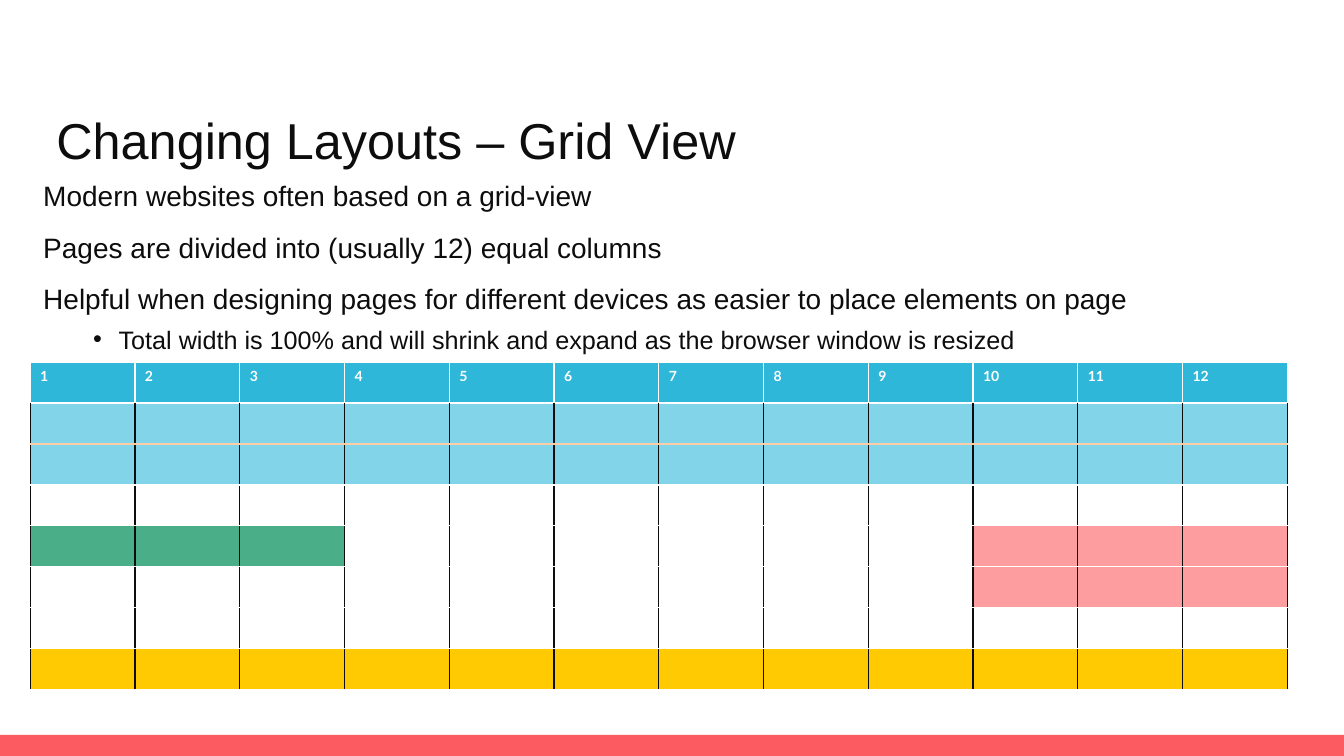
from dataclasses import dataclass

from lxml import etree
from pptx import Presentation
from pptx.dml.color import RGBColor
from pptx.enum.shapes import MSO_SHAPE
from pptx.oxml.ns import qn
from pptx.slide import Slide
from pptx.util import Cm, Pt

RECTANGLE = MSO_SHAPE.RECTANGLE
BLANK_LAYOUT = 6
COLUMN_COUNT = 12
COLUMN_WIDTH = Cm(2.64)
ROW_HEIGHT = Cm(1.03)
GRID_LEFT = Cm(0.76)

COLORS = {
    "ink": "0D0D0D",
    "white": "FFFFFF",
    "footer": "FC5B61",
    "heading": "2FB7DA",
    "banner": "82D4E9",
    "banner_rule": "FDCDA5",
    "menu": "4AAF88",
    "sidebar": "FD9DA0",
    "page_end": "FFCA01",
}


@dataclass(frozen=True)
class Line:
    text: str
    size: float
    space_before: float = 0
    space_after: float = 0
    line_spacing: float = 1.0
    bulleted: bool = False


@dataclass(frozen=True)
class Box:
    left: float
    top: float
    width: float
    height: float
    lines: tuple[Line, ...]


@dataclass(frozen=True)
class Border:
    color: str
    width: float = 1


@dataclass(frozen=True)
class Region:
    """A coloured block of the page layout; the end row and column are excluded."""
    color: str
    first_row: int
    end_row: int
    first_column: int = 0
    end_column: int = COLUMN_COUNT


TITLE = Box(1.42, 2.79, 31.01, 2.01, (
    Line("Changing Layouts – Grid View", 36, line_spacing=0.9),
))
BODY = Box(1.09, 4.37, 31.01, 12.01, (
    Line("Modern websites often based on a grid-view", 20, space_after=1),
    Line("Pages are divided into (usually 12) equal columns", 20, 12, 1),
    Line("Helpful when designing pages for different devices as easier "
         "to place elements on page", 20, 12, 1),
    Line("Total width is 100% and will shrink and expand as the browser "
         "window is resized", 18, 5, bulleted=True),
))
REGIONS = (
    Region("banner", 0, 2),
    Region("menu", 3, 4, end_column=3),
    Region("sidebar", 3, 5, first_column=9),
    Region("page_end", 6, 7),
)
LAYOUT_ROWS = 7


def rgb(name: str) -> RGBColor:
    return RGBColor.from_string(COLORS[name])


def style_run(run, size: float, font: str, color: str, bold: bool = False) -> None:
    run.font.size = Pt(size)
    run.font.name = font
    run.font.bold = bold
    run.font.color.rgb = rgb(color)


def add_bullet(paragraph) -> None:
    properties = paragraph._p.get_or_add_pPr()
    properties.set("lvl", "1")
    properties.set("marL", str(Cm(1.9)))
    properties.set("indent", str(-Cm(0.64)))
    etree.SubElement(properties, qn("a:buFont"), typeface="Arial")
    etree.SubElement(properties, qn("a:buChar"), char="•")


def add_text(slide: Slide, box: Box) -> None:
    frame = slide.shapes.add_textbox(
        Cm(box.left), Cm(box.top), Cm(box.width), Cm(box.height)).text_frame
    frame.word_wrap = True
    frame.margin_left = frame.margin_right = 0
    for index, line in enumerate(box.lines):
        paragraph = frame.add_paragraph() if index else frame.paragraphs[0]
        if line.bulleted:
            add_bullet(paragraph)
        paragraph.space_before = Pt(line.space_before)
        paragraph.space_after = Pt(line.space_after)
        paragraph.line_spacing = line.line_spacing
        run = paragraph.add_run()
        run.text = line.text
        style_run(run, line.size, "Arial", "ink")


def set_borders(cell, sides: Border, top: Border, bottom: Border) -> None:
    """Border lines come before the fill, so call this before filling the cell."""
    properties = cell._tc.get_or_add_tcPr()
    for tag, border in (("lnL", sides), ("lnR", sides), ("lnT", top), ("lnB", bottom)):
        line = etree.SubElement(properties, qn(f"a:{tag}"), w=str(Pt(border.width)))
        fill = etree.SubElement(line, qn("a:solidFill"))
        etree.SubElement(fill, qn("a:srgbClr"), val=COLORS[border.color])


def add_grid(slide: Slide, top: float, row_count: int):
    table = slide.shapes.add_table(
        row_count, COLUMN_COUNT, GRID_LEFT, Cm(top),
        COLUMN_WIDTH * COLUMN_COUNT, ROW_HEIGHT * row_count).table
    table.first_row = table.horz_banding = False
    for column in table.columns:
        column.width = COLUMN_WIDTH
    for row in table.rows:
        row.height = ROW_HEIGHT
    return table


def add_column_numbers(slide: Slide) -> None:
    thin = Border("white")
    table = add_grid(slide, 9.14, 1)
    for number, cell in enumerate(table.iter_cells(), start=1):
        set_borders(cell, thin, thin, Border("white", 3))
        cell.fill.solid()
        cell.fill.fore_color.rgb = rgb("heading")
        run = cell.text_frame.paragraphs[0].add_run()
        run.text = str(number)
        style_run(run, 10, "Lato", "white", bold=True)


def add_page_layout(slide: Slide) -> None:
    table = add_grid(slide, 10.16, LAYOUT_ROWS)
    rules = [Border("white")] * (LAYOUT_ROWS + 1)
    rules[1] = Border("banner_rule")
    for index, cell in enumerate(table.iter_cells()):
        row = index // COLUMN_COUNT
        set_borders(cell, Border("ink"), rules[row], rules[row + 1])
        cell.margin_top = cell.margin_bottom = Cm(0.1)
        cell.fill.background()
    for region in REGIONS:
        for row in range(region.first_row, region.end_row):
            for column in range(region.first_column, region.end_column):
                fill = table.cell(row, column).fill
                fill.solid()
                fill.fore_color.rgb = rgb(region.color)


def add_footer_bar(slide: Slide, width: int) -> None:
    bar = slide.shapes.add_shape(RECTANGLE, 0, Cm(18.52), width, Cm(0.53))
    bar.shadow.inherit = False
    bar.fill.solid()
    bar.fill.fore_color.rgb = rgb("footer")
    bar.line.fill.background()


def main() -> None:
    presentation = Presentation()
    presentation.slide_width = Cm(33.87)
    presentation.slide_height = Cm(19.05)
    slide = presentation.slides.add_slide(presentation.slide_layouts[BLANK_LAYOUT])
    add_footer_bar(slide, presentation.slide_width)
    add_text(slide, BODY)
    add_text(slide, TITLE)
    add_column_numbers(slide)
    add_page_layout(slide)
    presentation.save("out.pptx")


if __name__ == "__main__":
    main()
